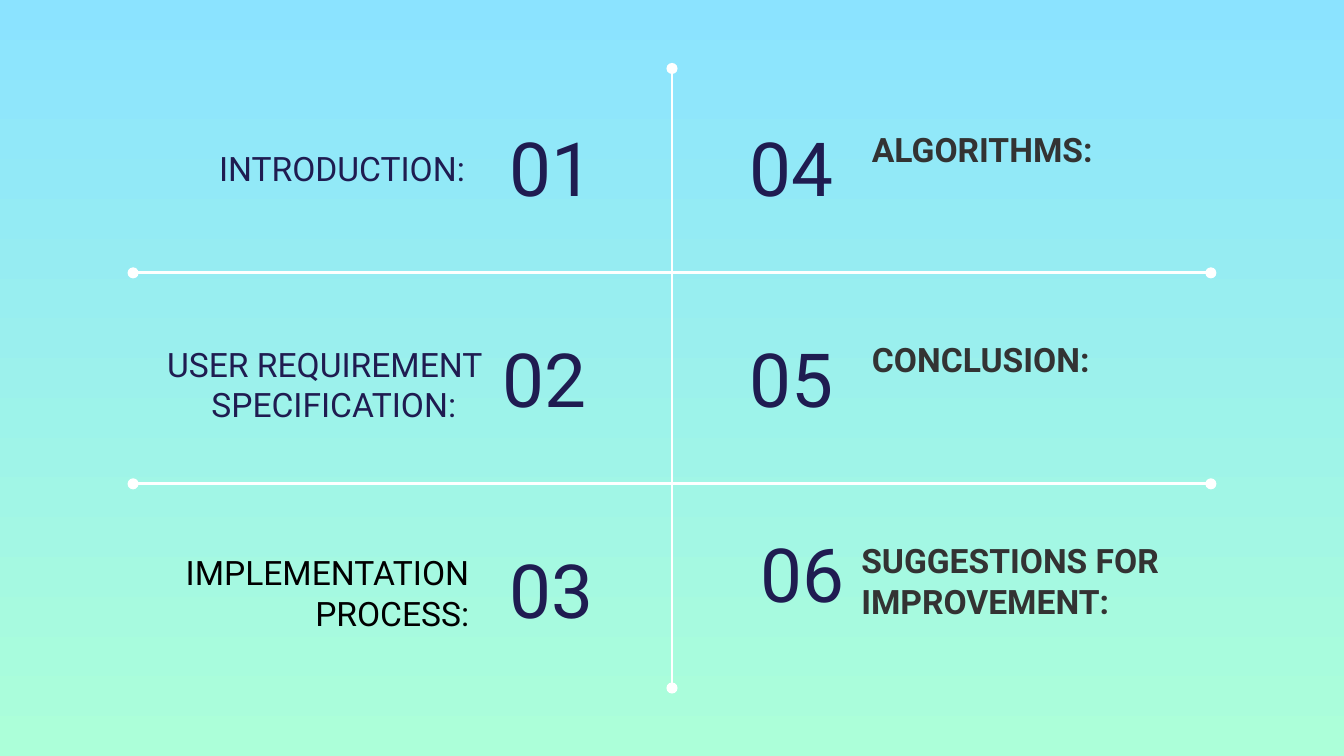
from lxml import etree
from pptx import Presentation
from pptx.dml.color import RGBColor
from pptx.enum.shapes import MSO_CONNECTOR
from pptx.enum.text import MSO_ANCHOR, PP_ALIGN
from pptx.oxml.ns import qn
from pptx.util import Pt

LEFT, RIGHT = PP_ALIGN.LEFT, PP_ALIGN.RIGHT
TOP, MIDDLE, BOTTOM = MSO_ANCHOR.TOP, MSO_ANCHOR.MIDDLE, MSO_ANCHOR.BOTTOM
STRAIGHT = MSO_CONNECTOR.STRAIGHT

SKY = RGBColor(0x8B, 0xE3, 0xFF)
MINT = RGBColor(0xAC, 0xFF, 0xD9)
NAVY = RGBColor(0x1F, 0x1C, 0x51)
BLACK = RGBColor(0, 0, 0)
GRAY = RGBColor(0x33, 0x33, 0x33)
WHITE = RGBColor(0xFF, 0xFF, 0xFF)

FONT = "Roboto"
INSET = Pt(7.2)
NUMBER_SIZE = (93.6, 61.9)

DIVIDERS = [
    (360, 36.7, 360, 368.6),
    (71.3, 146.2, 648.7, 146.2),
    (71.3, 259.2, 648.7, 259.2),
]

NUMBERS = [
    ("01", 265.7, 58.3, LEFT),
    ("02", 262.1, 171.4, LEFT),
    ("03", 265.7, 284.4, LEFT),
    ("04", 360, 58.3, RIGHT),
    ("05", 360, 171.4, RIGHT),
    ("06", 365.8, 275.8, RIGHT),
]

# Each line pairs its text with a right margin.
HEADINGS = [
    ([("INTRODUCTION:", 0)], (71.3, 72, 185, 46), RIGHT, TOP, NAVY, False),
    ([("USER REQUIREMENT", 0), ("SPECIFICATION:", 14)],
     (75.6, 169.2, 190, 65.3), RIGHT, BOTTOM, NAVY, False),
    ([("IMPLEMENTATION PROCESS:", 0)], (71.3, 284.4, 187.2, 61.9), RIGHT, BOTTOM, BLACK, False),
    ([("ALGORITHMS:", 0)], (460, 58.3, 214.6, 39.6), LEFT, BOTTOM, GRAY, True),
    ([("CONCLUSION:", 0)], (460, 175, 214.6, 35.3), LEFT, BOTTOM, GRAY, True),
    ([("SUGGESTIONS FOR IMPROVEMENT:", 0)], (454.3, 288.7, 176.4, 51.1), LEFT, BOTTOM, GRAY, True),
]


def add_text(page, lines, bounds, align, anchor, size, color, bold=False):
    box = page.shapes.add_textbox(*map(Pt, bounds))
    frame = box.text_frame
    frame.word_wrap = True
    frame.vertical_anchor = anchor
    frame.margin_left = frame.margin_right = INSET
    frame.margin_top = frame.margin_bottom = INSET
    for index, (text, right_margin) in enumerate(lines):
        para = frame.add_paragraph() if index else frame.paragraphs[0]
        para.alignment = align
        if right_margin:
            para._p.get_or_add_pPr().set("marR", str(Pt(right_margin)))
        span = para.add_run()
        span.text = text
        span.font.name = FONT
        span.font.size = Pt(size)
        span.font.bold = bold
        span.font.color.rgb = color


def add_divider(page, ends):
    divider = page.shapes.add_connector(STRAIGHT, *map(Pt, ends))
    divider.line.color.rgb = WHITE
    divider.line.width = Pt(1.5)
    outline = divider.line._get_or_add_ln()
    for tag in ("a:headEnd", "a:tailEnd"):
        etree.SubElement(outline, qn(tag), type="oval")
    etree.SubElement(divider._element.spPr, qn("a:effectLst"))


def main():
    deck = Presentation()
    deck.slide_width, deck.slide_height = Pt(720), Pt(405)
    page = deck.slides.add_slide(deck.slide_layouts[6])

    fill = page.background.fill
    fill.gradient()
    fill.gradient_angle = 270
    for stop, color, position in zip(fill.gradient_stops, (SKY, MINT), (0, 1)):
        stop.color.rgb = color
        stop.position = position

    for ends in DIVIDERS:
        add_divider(page, ends)
    for number, left, top, align in NUMBERS:
        add_text(page, [(number, 0)], (left, top, *NUMBER_SIZE), align, MIDDLE, 40, NAVY)
    for lines, bounds, align, anchor, color, bold in HEADINGS:
        add_text(page, lines, bounds, align, anchor, 18, color, bold)

    deck.save("out.pptx")


if __name__ == "__main__":
    main()
